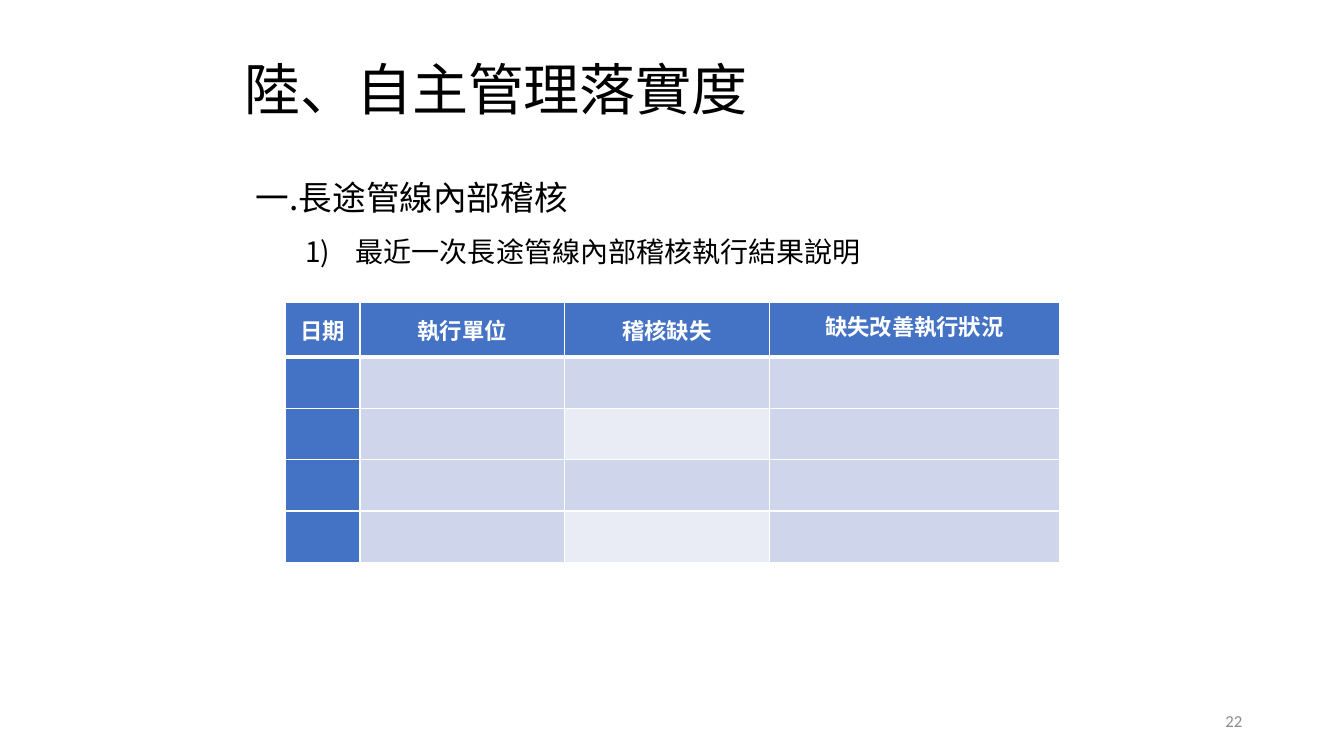
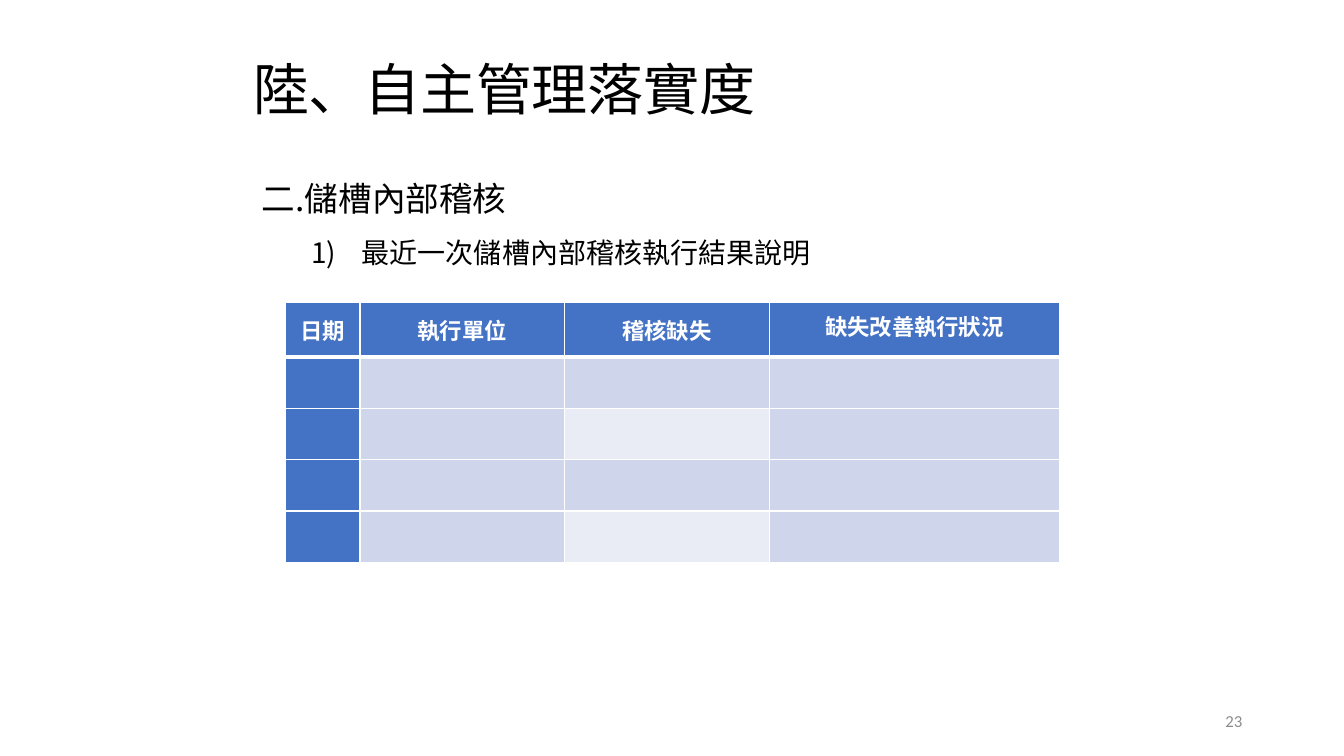
from dataclasses import dataclass

from lxml import etree
from pptx import Presentation
from pptx.dml.color import RGBColor
from pptx.enum.text import MSO_ANCHOR, MSO_AUTO_SIZE, PP_ALIGN
from pptx.oxml.ns import qn
from pptx.util import Inches, Pt


@dataclass(frozen=True)
class Theme:
    font: str = "Noto Sans CJK SC"
    number_font: str = "Calibri"
    black: str = "000000"
    white: str = "FFFFFF"
    gray: str = "8C8C8C"
    blue: str = "4472C4"
    band: str = "CFD5EA"
    pale_band: str = "E9EBF5"
    title_size: int = 40
    heading_size: int = 24
    item_size: int = 20
    table_size: int = 16
    number_size: int = 12


THEME = Theme()

TITLE = "陸、自主管理落實度"
HEADERS = ["日期", "執行單位", "稽核缺失", "缺失改善執行狀況"]
COLUMN_WIDTHS = [0.74, 2.03, 2.03, 2.88]
ROW_HEIGHTS = [0.54] + [0.51] * 4
TABLE_LEFT, TABLE_TOP = 2.83, 3

SLIDES = [
    {
        "number": "22",
        "title_left": 2.42,
        "heading": "一.長途管線內部稽核",
        "item": "最近一次長途管線內部稽核執行結果說明",
        "body_box": (2.44, 1.53, 8.25, 1.15),
    },
    {
        "number": "23",
        "title_left": 2.5,
        "heading": "二.儲槽內部稽核",
        "item": "最近一次儲槽內部稽核執行結果說明",
        "body_box": (2.5, 1.54, 7.83, 1.15),
    },
]


def add_run(paragraph, text, size, color=THEME.black, font=THEME.font, bold=False):
    run = paragraph.add_run()
    run.text = text
    run.font.size = Pt(size)
    run.font.bold = bold
    run.font.color.rgb = RGBColor.from_string(color)
    run.font.name = font
    properties = run.font._element
    etree.SubElement(properties, qn("a:ea"), typeface=font)
    return properties


def add_text_frame(slide, box, grow=True):
    frame = slide.shapes.add_textbox(*map(Inches, box)).text_frame
    frame.word_wrap = True
    frame.vertical_anchor = MSO_ANCHOR.MIDDLE
    if grow:
        frame.auto_size = MSO_AUTO_SIZE.SHAPE_TO_FIT_TEXT
    return frame


def indent(paragraph, left, first_line=0):
    properties = paragraph._p.get_or_add_pPr()
    properties.set("marL", str(Inches(left)))
    properties.set("indent", str(Inches(first_line)))
    return properties


def add_title(slide, left):
    frame = add_text_frame(slide, (left, 0.61, 7.63, 0.61))
    frame.margin_left = frame.margin_right = 0
    frame.margin_top = frame.margin_bottom = 0
    paragraph = frame.paragraphs[0]
    paragraph.line_spacing = 0.9
    indent(paragraph, 0.01)
    add_run(paragraph, TITLE, THEME.title_size).set("spc", "-10")


def add_body(slide, box, heading, item):
    frame = add_text_frame(slide, box)
    heading_paragraph = frame.paragraphs[0]
    item_paragraph = frame.add_paragraph()
    heading_paragraph.line_spacing = item_paragraph.line_spacing = 1.5
    add_run(heading_paragraph, heading, THEME.heading_size)
    properties = indent(item_paragraph, 0.99, -0.5)
    etree.SubElement(properties, qn("a:buAutoNum"), type="arabicParenR")
    add_run(item_paragraph, item, THEME.item_size)


def add_slide_number(slide, number):
    paragraph = add_text_frame(slide, (9.42, 6.95, 3, 0.4), grow=False).paragraphs[0]
    paragraph.alignment = PP_ALIGN.RIGHT
    add_run(paragraph, number, THEME.number_size, THEME.gray, THEME.number_font)


def set_borders(cell, top=1, bottom=1):
    """Draw white cell borders; widths are in points."""
    properties = cell._tc.get_or_add_tcPr()
    widths = {"lnL": 1, "lnR": 1, "lnT": top, "lnB": bottom}
    for position, (side, width) in enumerate(widths.items()):
        line = etree.Element(qn(f"a:{side}"), w=str(Pt(width)))
        fill = etree.SubElement(line, qn("a:solidFill"))
        etree.SubElement(fill, qn("a:srgbClr"), val=THEME.white)
        properties.insert(position, line)


def cell_color(row, column):
    if row == 0 or column == 0:
        return THEME.blue
    return THEME.pale_band if column == 2 and row % 2 == 0 else THEME.band


def add_audit_table(slide):
    table = slide.shapes.add_table(
        len(ROW_HEIGHTS), len(HEADERS), Inches(TABLE_LEFT), Inches(TABLE_TOP),
        Inches(sum(COLUMN_WIDTHS)), Inches(sum(ROW_HEIGHTS)),
    ).table
    for column, width in zip(table.columns, COLUMN_WIDTHS):
        column.width = Inches(width)
    for row_index, height in enumerate(ROW_HEIGHTS):
        table.rows[row_index].height = Inches(height)
        for column_index in range(len(HEADERS)):
            cell = table.cell(row_index, column_index)
            cell.fill.solid()
            color = cell_color(row_index, column_index)
            cell.fill.fore_color.rgb = RGBColor.from_string(color)
            set_borders(cell, top=3 if row_index == 1 else 1,
                        bottom=3 if row_index == 0 else 1)
    for column_index, header in enumerate(HEADERS):
        cell = table.cell(0, column_index)
        cell.vertical_anchor = MSO_ANCHOR.MIDDLE
        cell.margin_left = cell.margin_right = Inches(0.07)
        cell.margin_top = cell.margin_bottom = 0
        paragraph = cell.text_frame.paragraphs[0]
        paragraph.alignment = PP_ALIGN.CENTER
        add_run(paragraph, header, THEME.table_size, THEME.white, bold=True)
    table.cell(0, len(HEADERS) - 1).text_frame.paragraphs[0].line_spacing = Pt(18)


def main():
    presentation = Presentation()
    presentation.slide_width = Inches(13.33)
    presentation.slide_height = Inches(7.5)
    blank_layout = presentation.slide_layouts[6]
    for content in SLIDES:
        slide = presentation.slides.add_slide(blank_layout)
        add_title(slide, content["title_left"])
        add_slide_number(slide, content["number"])
        add_body(slide, content["body_box"], content["heading"], content["item"])
        add_audit_table(slide)
    presentation.save("out.pptx")


if __name__ == "__main__":
    main()
